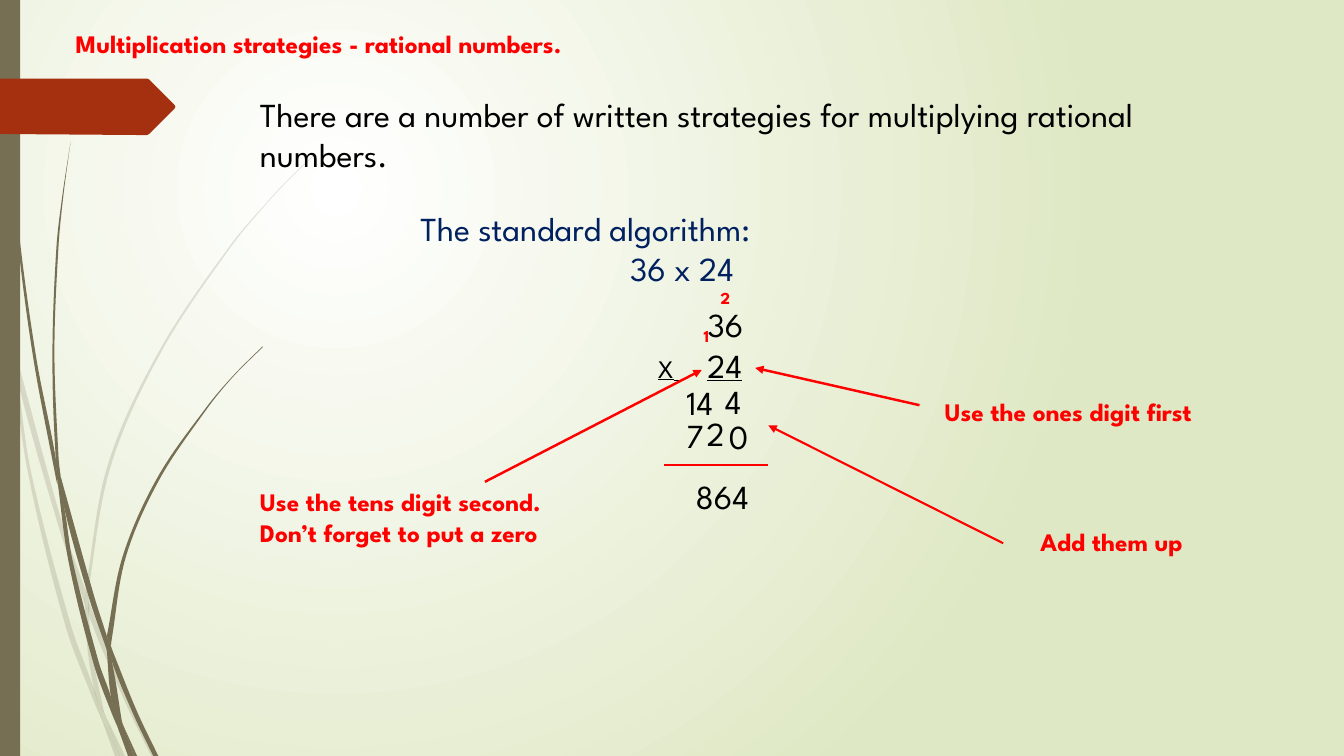
from math import dist
from typing import NamedTuple

from lxml import etree
from pptx import Presentation
from pptx.dml.color import RGBColor
from pptx.enum.shapes import MSO_CONNECTOR, MSO_SHAPE
from pptx.enum.text import MSO_ANCHOR, MSO_AUTO_SIZE, PP_ALIGN
from pptx.oxml.ns import qn
from pptx.shapes.autoshape import Shape
from pptx.slide import Slide
from pptx.util import Inches, Pt

FONT = "League Spartan"
RED = RGBColor(0xFF, 0x00, 0x00)
BLACK = RGBColor(0x00, 0x00, 0x00)
NAVY = RGBColor(0x00, 0x20, 0x60)
WHITE = RGBColor(0xFF, 0xFF, 0xFF)
PALE_GREEN = RGBColor(0xDF, 0xE8, 0xC4)
OLIVE = RGBColor(0x76, 0x6F, 0x54)
RUST = RGBColor(0xA5, 0x30, 0x10)
Points = list[tuple[float, float]]


class Style(NamedTuple):
    size: int
    color: RGBColor
    bold: bool = False


class Note(NamedTuple):
    box: tuple[float, float, float, float]
    lines: list[str]
    style: Style
    tab: float = 0


class Rule(NamedTuple):
    start: tuple[float, float]
    end: tuple[float, float]
    width: float = 1.5
    arrow: bool = True


class Blade(NamedTuple):
    left_edge: Points
    right_edge: Points


HINT = Style(18, RED, True)
CARRY = Style(12, RED, True)
WORKING = Style(24, BLACK)
METHOD = Style(24, NAVY)

FAINT_GRASS = [
    Blade([(0, 2.99), (0.1, 3.44), (0.11, 3.5)], [(0, 2.82), (0.09, 3.22), (0.11, 3.5)]),
    Blade([(0.14, 3.45), (0.17, 3.76), (0.58, 5.22), (0.84, 5.99)],
          [(0.14, 3.45), (0.62, 5.2), (0.85, 5.86)]),
    Blade([(0.88, 5.96), (0.88, 6.1), (1.23, 6.94), (1.5, 7.5)],
          [(0.88, 5.96), (0.92, 6.07), (1.27, 6.92), (1.55, 7.5)]),
    Blade([(1.05, 7.11), (1.19, 7.5)], [(1.05, 7.11), (1.24, 7.5)]),
    Blade([(0.11, 3.5), (0.28, 4.7), (0.65, 6.21), (0.92, 6.93), (1.01, 7.14)],
          [(0.11, 3.5), (0.17, 3.76), (0.31, 4.69), (0.7, 6.19), (0.93, 6.83), (0.99, 7.07)]),
    Blade([(0.84, 5.99), (0.87, 6.46), (0.93, 6.83), (0.96, 6.92), (1.05, 7.11)],
          [(0.84, 5.99), (0.88, 6.1), (0.91, 6.46), (1.03, 7.06)]),
    Blade([(3.12, 1.53), (2.89, 1.75), (2.68, 1.97), (2.28, 2.44), (1.58, 3.48), (1.07, 4.61),
           (0.85, 5.84), (0.85, 5.86)],
          [(3.12, 1.54), (2.9, 1.75), (2.68, 1.98), (2.29, 2.45), (1.6, 3.49), (1.1, 4.62),
           (0.88, 5.84), (0.88, 5.96)]),
    Blade([(1.01, 7.14), (1.14, 7.5)], [(1.01, 7.14), (1.19, 7.5)]),
    Blade([(0.85, 5.86), (0.84, 5.99), (0.88, 6.08)], [(0.85, 5.86), (0.88, 5.96), (0.88, 6.1)]),
    Blade([(0.93, 6.83), (0.99, 7.07), (1.01, 7.14), (1.19, 7.5)],
          [(0.93, 6.83), (0.96, 6.92), (1.05, 7.11), (1.19, 7.5)]),
]
DARK_GRASS = [
    Blade([(0.03, 0), (0.04, 0.48), (0.07, 1.1), (0.17, 2.33), (0.33, 3.55), (0.56, 4.77)],
          [(0.04, 0), (0.05, 0.48), (0.08, 1.09), (0.19, 2.32), (0.36, 3.55), (0.55, 4.53),
           (0.57, 4.81)]),
    Blade([(0.6, 4.72), (0.64, 5.05), (0.88, 5.92), (1.06, 6.45)],
          [(0.6, 4.72), (0.93, 5.9), (1.06, 6.31)]),
    Blade([(1.1, 6.41), (1.11, 6.56), (1.32, 7.08), (1.52, 7.5)],
          [(1.1, 6.41), (1.13, 6.49), (1.36, 7.06), (1.57, 7.5)]),
    Blade([(0.57, 4.77), (0.68, 5.57), (0.93, 6.59), (1.11, 7.08), (1.17, 7.22)],
          [(0.57, 4.77), (0.64, 5.05), (0.72, 5.56), (0.98, 6.57), (1.1, 6.91), (1.16, 7.17)]),
    Blade([(0.7, 1.41), (0.62, 1.93), (0.56, 2.45), (0.52, 3.49), (0.55, 4.49), (0.6, 4.72)],
          [(0.7, 1.41), (0.63, 1.93), (0.58, 2.45), (0.54, 3.49), (0.58, 4.53), (0.6, 4.72)]),
    Blade([(1.22, 7.19), (1.33, 7.5)], [(1.22, 7.19), (1.36, 7.5)]),
    Blade([(0.55, 4.49), (0.57, 4.77), (0.64, 5.05)], [(0.55, 4.49), (0.6, 4.72), (0.64, 5.05)]),
    Blade([(2.6, 3.44), (2.31, 3.73), (2.04, 4.05), (1.56, 4.74), (1.22, 5.51), (1.06, 6.31)],
          [(2.61, 3.44), (2.31, 3.74), (2.05, 4.06), (1.58, 4.76), (1.25, 5.52), (1.11, 6.33),
           (1.1, 6.41)]),
    Blade([(1.17, 7.22), (1.27, 7.5)], [(1.17, 7.22), (1.31, 7.5)]),
    Blade([(1.06, 6.45), (1.1, 6.91), (1.16, 7.06), (1.22, 7.19)],
          [(1.06, 6.45), (1.11, 6.56), (1.21, 7.16)]),
    Blade([(1.06, 6.31), (1.06, 6.45), (1.11, 6.56)], [(1.06, 6.31), (1.1, 6.41), (1.11, 6.56)]),
    Blade([(1.1, 6.91), (1.17, 7.22), (1.3, 7.5)], [(1.1, 6.91), (1.22, 7.19), (1.33, 7.5)]),
]
RIBBON = [(0, 0.78), (1.46, 0.78), (1.48, 0.79), (1.73, 1.04), (1.74, 1.06), (1.73, 1.08),
          (1.48, 1.33), (1.46, 1.34), (1.36, 1.34), (0, 1.33)]

HEADING = Note((0.65, 0.23, 7.3, 0.4), ["Multiplication strategies - rational numbers."], HINT)
OPERANDS = Note((6.43, 2.97, 2.69, 0.91), ["\t36", "X"], WORKING, 0.49)
NOTES = [
    Note((2.48, 0.88, 9.34, 0.91),
         ["There are a number of written strategies for multiplying rational numbers."], WORKING),
    Note((4.07, 2.01, 6.85, 0.91), ["The standard algorithm:", "\t36 x 24"], METHOD, 2.08),
    Note((9.27, 3.88, 3.72, 0.4), ["Use the ones digit first"], HINT),
    Note((2.48, 4.78, 3.72, 0.71),
         ["Use the tens digit second.", "Don’t forget to put a zero"], HINT),
    Note((7.09, 3.73, 1, 0.5), ["4"], WORKING),
    Note((7.13, 4.08, 1.21, 0.5), ["0"], WORKING),
    Note((6.91, 4.05, 0.68, 0.5), ["2"], WORKING),
    Note((6.8, 4.67, 2.59, 0.5), ["864"], WORKING),
    Note((10.22, 5.17, 2.63, 0.4), ["Add them up"], HINT),
    Note((7.05, 2.81, 0.53, 0.3), ["2"], CARRY),
    Note((6.71, 3.74, 1, 0.5), ["14"], WORKING),
    Note((6.88, 3.18, 0.53, 0.3), ["1"], CARRY),
    Note((6.71, 4.07, 0.68, 0.5), ["7"], WORKING),
]
RULES = [Rule((9.12, 4.02), (7.49, 3.65), 1.75), Rule((4.81, 4.78), (6.96, 3.67), 1.75),
         Rule((6.59, 4.61), (7.62, 4.61), arrow=False), Rule((9.95, 5.39), (7.62, 4.22))]


def paint_background(slide: Slide) -> None:
    fill = slide.background.fill
    fill.gradient()
    for stop, color in zip(fill.gradient_stops, (WHITE, PALE_GREEN)):
        stop.color.rgb = color
    linear = next(slide.background._cSld.iter(qn("a:lin")))
    radial = etree.Element(qn("a:path"), {"path": "circle"})
    etree.SubElement(radial, qn("a:fillToRect"), l="50000", t="50000", r="100000", b="100000")
    linear.getparent().replace(linear, radial)


def bezier(edge: Points) -> Points:
    """Smooth curve through the edge: two control points and an end for each step."""
    padded = [edge[0], *edge, edge[-1]]
    curve = []
    for a, b, c, d in zip(padded, padded[1:], padded[2:], padded[3:]):
        out, back = dist(b, c) / dist(a, c) / 3, dist(b, c) / dist(b, d) / 3
        curve += [(b[0] + (c[0] - a[0]) * out, b[1] + (c[1] - a[1]) * out),
                  (c[0] - (d[0] - b[0]) * back, c[1] - (d[1] - b[1]) * back), c]
    return curve


def paint(shape: Shape, color: RGBColor) -> None:
    shape.shadow.inherit = False
    shape.line.fill.background()
    shape.fill.solid()
    shape.fill.fore_color.rgb = color


def draw_outline(slide: Slide, points: Points, color: RGBColor) -> Shape:
    start, *rest = [(Inches(x), Inches(y)) for x, y in points]
    builder = slide.shapes.build_freeform(*start)
    builder.add_line_segments(rest)
    shape = builder.convert_to_shape()
    paint(shape, color)
    return shape


def draw_blade(slide: Slide, blade: Blade, opacity: int) -> None:
    left, right = blade.left_edge, blade.right_edge
    link = [left[-1], right[-1], right[-1]]
    outline = [left[0], *bezier(left), *link, *bezier(right[::-1])]
    properties = draw_outline(slide, outline, OLIVE)._element.spPr
    segments = list(properties.iter(qn("a:lnTo")))
    for first, second, third in zip(segments[::3], segments[1::3], segments[2::3]):
        curve = etree.Element(qn("a:cubicBezTo"))
        first.addprevious(curve)
        for segment in (first, second, third):
            curve.append(segment[0])
            segment.getparent().remove(segment)
    tint = next(properties.iter(qn("a:srgbClr")))
    etree.SubElement(tint, qn("a:alpha"), val=str(opacity * 1000))


def write(shape: Shape, note: Note) -> None:
    shape.left, shape.top, shape.width, shape.height = map(Inches, note.box)
    frame = shape.text_frame
    frame.word_wrap, frame.auto_size = True, MSO_AUTO_SIZE.NONE
    frame.vertical_anchor = MSO_ANCHOR.TOP
    for index, line in enumerate(note.lines):
        paragraph = frame.add_paragraph() if index else frame.paragraphs[0]
        paragraph.text, paragraph.alignment = line, PP_ALIGN.LEFT
        if note.tab:
            tabs = etree.SubElement(paragraph._p.get_or_add_pPr(), qn("a:tabLst"))
            etree.SubElement(tabs, qn("a:tab"), pos=str(Inches(note.tab)), algn="l")
        font = paragraph.font
        font.name, font.size, font.bold = FONT, Pt(note.style.size), note.style.bold
        font.color.rgb = note.style.color


def draw_operands(slide: Slide) -> None:
    box = slide.shapes.add_textbox(0, 0, 0, 0)
    write(box, OPERANDS)
    multiplier = box.text_frame.paragraphs[1]
    multiplier.font.underline = True
    multiplier.runs[0].font.size = Pt(18)
    gap, digits = multiplier.add_run(), multiplier.add_run()
    gap.text, digits.text = " ", "24"
    gap._r.get_or_add_rPr().set("spc", "1820")


def draw_rule(slide: Slide, rule: Rule) -> None:
    ends = map(Inches, (*rule.start, *rule.end))
    connector = slide.shapes.add_connector(MSO_CONNECTOR.STRAIGHT, *ends)
    connector.line.color.rgb, connector.line.width = RED, Pt(rule.width)
    if rule.arrow:
        etree.SubElement(connector.line._get_or_add_ln(), qn("a:tailEnd"), type="triangle")
    etree.SubElement(connector._element.spPr, qn("a:effectLst"))


def main() -> None:
    deck = Presentation()
    deck.slide_width, deck.slide_height = Inches(13.33), Inches(7.5)
    slide = deck.slides.add_slide(deck.slide_layouts[5])
    paint_background(slide)
    for grass, opacity in ((FAINT_GRASS, 20), (DARK_GRASS, 100)):
        for blade in grass:
            draw_blade(slide, blade, opacity)
    paint(slide.shapes.add_shape(MSO_SHAPE.RECTANGLE, 0, 0, Inches(0.2), deck.slide_height), OLIVE)
    draw_outline(slide, RIBBON, RUST)
    write(slide.shapes.title, HEADING)
    draw_operands(slide)
    for note in NOTES:
        write(slide.shapes.add_textbox(0, 0, 0, 0), note)
    for rule in RULES:
        draw_rule(slide, rule)
    deck.save("out.pptx")


if __name__ == "__main__":
    main()
